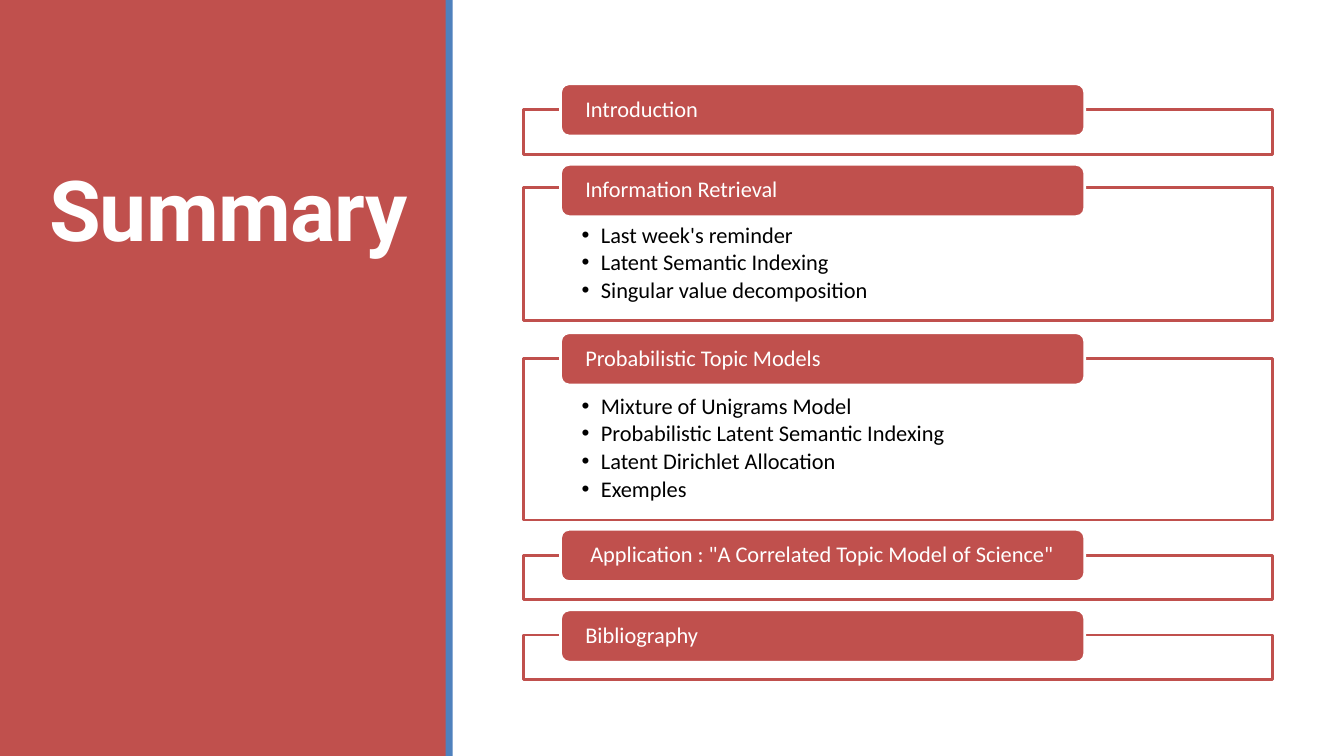
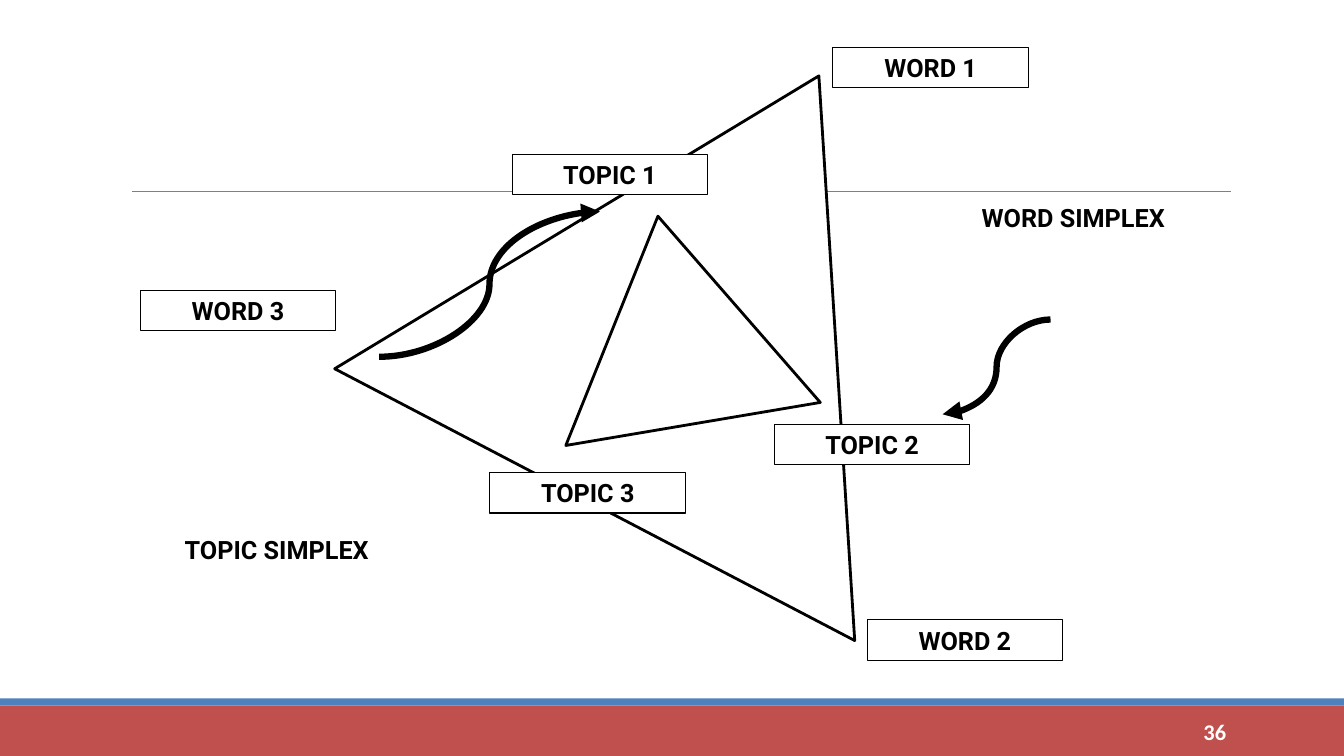
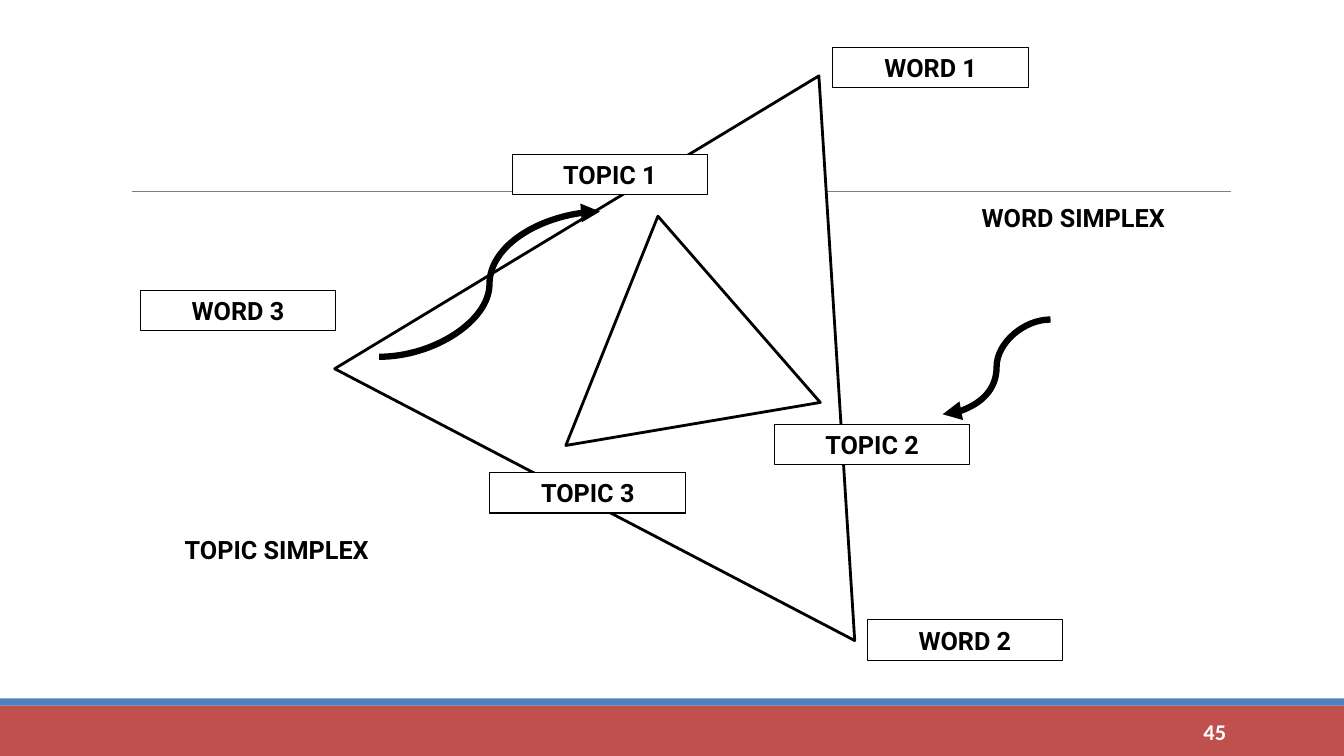
import pptx
import pptx.dml.color
import pptx.enum.shapes
import pptx.enum.text
import pptx.oxml.ns
import pptx.util
from lxml import etree

Inches = pptx.util.Inches
Pt = pptx.util.Pt
SHAPE = pptx.enum.shapes.MSO_SHAPE
CONNECTOR = pptx.enum.shapes.MSO_CONNECTOR
ALIGN = pptx.enum.text.PP_ALIGN
ANCHOR = pptx.enum.text.MSO_ANCHOR
qn = pptx.oxml.ns.qn

# Shared look
COLORS = {"red": "C0504D", "blue": "4F81BD", "white": "FFFFFF",
          "black": "000000", "gray": "808080"}
HEAD_FONT, BODY_FONT = "Roboto", "Calibri"
WIDTH, HEIGHT = 13.33, 7.5
DEFAULT_INSETS = (0.1, 0.05, 0.1, 0.05)

# Summary slide: heading, heading left inset, tab top, frame top, frame height, items
SUMMARY_TITLE = "Summary"
SECTIONS = [
    ("Introduction", 0.22, 0.83, 1.09, 0.44, []),
    ("Information Retrieval", 0.22, 1.63, 1.86, 1.32,
     ["Last week's reminder", "Latent Semantic Indexing",
      "Singular value decomposition"]),
    ("Probabilistic Topic Models", 0.22, 3.3, 3.56, 1.6,
     ["Mixture of Unigrams Model", "Probabilistic Latent Semantic Indexing",
      "Latent Dirichlet Allocation", "Exemples"]),
    ('Application : "A Correlated Topic Model of Science"', 0.27, 5.25, 5.51, 0.44, []),
    ("Bibliography", 0.22, 6.05, 6.3, 0.44, []),
]
FRAME_LEFT, FRAME_WIDTH = 5.19, 7.43
TAB_LEFT, TAB_WIDTH, TAB_HEIGHT = 5.56, 5.2, 0.52

# Simplex diagram, shown on both numbered slides
PAGE_NUMBERS = ["36", "45"]
TRIANGLES = [((4.1, 0.48, 5.82, 4.8), 27.6), ((5.42, 2.13, 2.56, 2.09), 350.4)]
ARROWS = [((10.42, 3.17), (9.35, 4.11)), ((3.76, 3.54), (5.95, 2.1))]
LABEL_SIZE = (1.94, 0.4)
LABELS = [("WORD 1", 8.26, 0.47), ("WORD 2", 8.6, 6.15), ("WORD 3", 1.39, 2.88),
          ("TOPIC 1", 5.08, 1.53), ("TOPIC 2", 7.68, 4.21), ("TOPIC 3", 4.86, 4.69)]
CAPTION_SIZE = (2.29, 0.7)
CAPTIONS = [("WORD SIMPLEX", 9.5, 1.96), ("TOPIC SIMPLEX", 1.6, 5.25)]


def rgb(name):
    return pptx.dml.color.RGBColor.from_string(COLORS[name])


def add_box(page, kind, at, fill, line=None, line_width=2):
    box = page.shapes.add_shape(kind, *[Inches(v) for v in at])
    box.shadow.inherit = False
    box.fill.solid()
    box.fill.fore_color.rgb = rgb(fill)
    if line:
        box.line.color.rgb = rgb(line)
        box.line.width = Pt(line_width)
    else:
        box.line.fill.background()
    return box


def add_line(page, kind, start, end, color, width, arrow=False):
    line = page.shapes.add_connector(kind, *[Inches(v) for v in start + end])
    line.line.color.rgb = rgb(color)
    line.line.width = Pt(width)
    if arrow:
        stroke = line.line._get_or_add_ln()
        etree.SubElement(stroke, qn("a:tailEnd"), type="triangle")
    etree.SubElement(line.element.spPr, qn("a:effectLst"))
    return line


def add_bullet(para):
    props = para._p.get_or_add_pPr()
    props.set("marL", str(Inches(0.19)))
    props.set("indent", str(-Inches(0.19)))
    color = etree.SubElement(props, qn("a:buClr"))
    etree.SubElement(color, qn("a:srgbClr"), val=COLORS["black"])
    etree.SubElement(props, qn("a:buFont"), typeface="Arial")
    etree.SubElement(props, qn("a:buChar"), char="•")


def write(box, lines, size, font, color, bold=False, align=ALIGN.LEFT,
          anchor=ANCHOR.TOP, insets=DEFAULT_INSETS, spacing=None, after=None,
          bullets=False):
    frame = box.text_frame
    frame.word_wrap = True
    frame.auto_size = pptx.enum.text.MSO_AUTO_SIZE.NONE
    frame.vertical_anchor = anchor
    (frame.margin_left, frame.margin_top,
     frame.margin_right, frame.margin_bottom) = [Inches(v) for v in insets]
    for index, text in enumerate(lines):
        para = frame.add_paragraph() if index else frame.paragraphs[0]
        para.alignment = align
        if spacing:
            para.line_spacing = spacing
        if after:
            para.space_after = Pt(after)
        if bullets:
            add_bullet(para)
        span = para.add_run()
        span.text = text
        span.font.size = Pt(size)
        span.font.name = font
        span.font.bold = bold
        span.font.color.rgb = rgb(color)


def build_summary(deck):
    page = deck.slides.add_slide(deck.slide_layouts[5])
    add_box(page, SHAPE.RECTANGLE, (0, 0, 4.43, HEIGHT), "red")
    add_box(page, SHAPE.RECTANGLE, (4.42, 0, 0.07, HEIGHT), "blue")

    # Title, brought in front of the red panel
    title = page.shapes.title
    title.left, title.top, title.width, title.height = [
        Inches(v) for v in (0.1, 1.67, 4.33, 1.54)]
    write(title, [SUMMARY_TITLE], 60, HEAD_FONT, "white", bold=True,
          align=ALIGN.CENTER, spacing=0.85)
    title.text_frame.paragraphs[0].runs[0].font._element.set("spc", "-50")
    page.shapes.element.append(title.element)

    # Sections: a frame with its items, and a heading tab over its top edge
    for heading, inset, tab_top, frame_top, frame_height, items in SECTIONS:
        frame = add_box(page, SHAPE.RECTANGLE,
                        (FRAME_LEFT, frame_top, FRAME_WIDTH, frame_height),
                        "white", "red")
        if items:
            write(frame, items, 16, BODY_FONT, "black", spacing=0.9, after=2.4,
                  insets=(0.58, 0.36, 0.58, 0.12), bullets=True)
        tab = add_box(page, SHAPE.ROUNDED_RECTANGLE,
                      (TAB_LEFT, tab_top, TAB_WIDTH, TAB_HEIGHT), "red", "white")
        write(tab, [heading], 16, BODY_FONT, "white", anchor=ANCHOR.MIDDLE,
              insets=(inset, 0.03, 0.2, 0.03), spacing=0.9)


def decorate_layout(deck, layout):
    """Draw the rule and footer bands once and keep them on the layout."""
    page = deck.slides.add_slide(layout)
    parts = [
        add_line(page, CONNECTOR.STRAIGHT, (1.31, 1.9), (12.21, 1.9), "gray", 0.5),
        add_box(page, SHAPE.RECTANGLE, (0, 7, WIDTH, 0.5), "red"),
        add_box(page, SHAPE.RECTANGLE, (0, 6.93, WIDTH, 0.07), "blue"),
    ]
    for part in parts:
        layout.shapes.element.append(part.element)
    return page


def build_diagram(page, number):
    number_box = page.shapes.add_textbox(*[Inches(v) for v in (10.83, 7.06, 1.43, 0.4)])
    write(number_box, [number], 16, BODY_FONT, "white", bold=True,
          align=ALIGN.RIGHT, anchor=ANCHOR.MIDDLE)
    for at, angle in TRIANGLES:
        triangle = add_box(page, SHAPE.ISOSCELES_TRIANGLE, at, "white", "black")
        triangle.rotation = angle
    for start, end in ARROWS:
        add_line(page, CONNECTOR.CURVE, start, end, "black", 4.5, arrow=True)
    for entries, size, line in ((CAPTIONS, CAPTION_SIZE, None),
                                (LABELS, LABEL_SIZE, "black")):
        for text, left, top in entries:
            label = add_box(page, SHAPE.RECTANGLE, (left, top) + size,
                            "white", line, 0.75)
            write(label, [text], 18, HEAD_FONT, "black", bold=True,
                  align=ALIGN.CENTER)


def main():
    deck = pptx.Presentation()
    deck.slide_width, deck.slide_height = Inches(WIDTH), Inches(HEIGHT)
    build_summary(deck)
    layout = deck.slide_layouts[6]
    page = decorate_layout(deck, layout)
    for index, number in enumerate(PAGE_NUMBERS):
        if index:
            page = deck.slides.add_slide(layout)
        build_diagram(page, number)
    deck.save("out.pptx")


if __name__ == "__main__":
    main()
